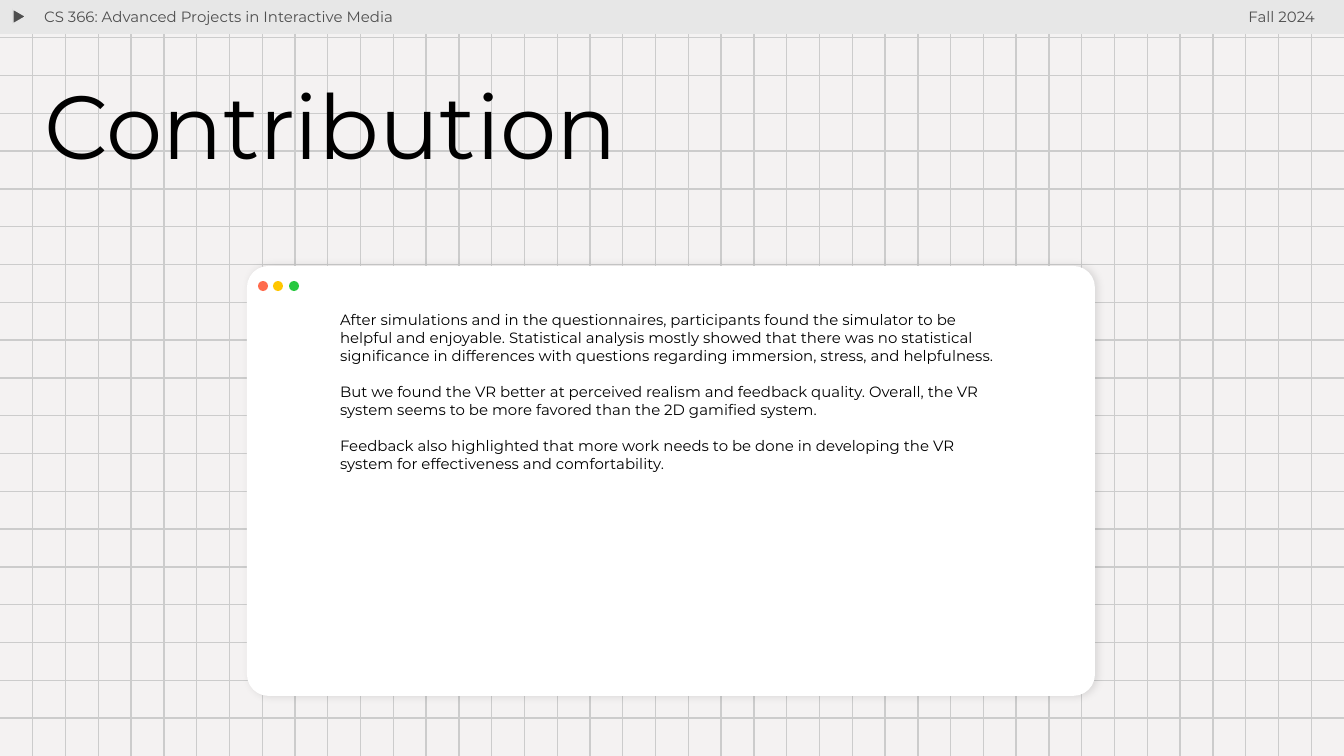
from lxml.etree import SubElement
from pptx import Presentation
from pptx.dml.color import RGBColor
from pptx.enum.shapes import MSO_CONNECTOR as CONN, MSO_SHAPE as SHAPE
from pptx.enum.text import MSO_ANCHOR as ANCHOR, MSO_AUTO_SIZE as AUTO, PP_ALIGN as ALIGN
from pptx.oxml.ns import qn
from pptx.util import Pt

PX = 914400 / 134.4
W, H = 1344, 756
FONT = "Montserrat"
INSET = 13
BLACK = RGBColor(0x00, 0x00, 0x00)
WHITE = RGBColor(0xFF, 0xFF, 0xFF)
PAPER = RGBColor(0xF4, 0xF2, 0xF2)
GRID = RGBColor(0xCC, 0xCC, 0xCC)
BAR = RGBColor(0xE7, 0xE7, 0xE7)
GRAY = RGBColor(0x4F, 0x4F, 0x4F)
RED = RGBColor(0xFF, 0x6B, 0x4D)
YELLOW = RGBColor(0xFF, 0xC6, 0x00)
GREEN = RGBColor(0x28, 0xC8, 0x40)

PARAGRAPHS = [
    "After simulations and in the questionnaires, participants found the simulator to be "
    "helpful and enjoyable. Statistical analysis mostly showed that there was no statistical "
    "significance in differences with questions regarding immersion, stress, and helpfulness.",
    "But we found the VR better at perceived realism and feedback quality. Overall, the VR "
    "system seems to be more favored than the 2D gamified system.",
    "Feedback also highlighted that more work needs to be done in developing the VR "
    "system for effectiveness and comfortability.",
]


def emu(*lengths):
    """Turn px lengths into EMU."""
    return [round(v * PX) for v in lengths]


def add_shape(shapes, kind, box, fill):
    """Add a flat filled shape without outline."""
    sp = shapes.add_shape(kind, *emu(*box))
    sp.shadow.inherit = False
    sp.fill.solid()
    sp.fill.fore_color.rgb = fill
    sp.line.fill.background()
    return sp


def write(sp, texts, size, color, align=ALIGN.LEFT, spacing=1.0, gap=0):
    """Fill a text shape with one run per paragraph."""
    tf = sp.text_frame
    tf.word_wrap = True
    tf.auto_size = AUTO.NONE
    tf.vertical_anchor = ANCHOR.TOP
    tf.margin_left, tf.margin_top, tf.margin_right, tf.margin_bottom = emu(*[INSET] * 4)
    for i, text in enumerate(texts):
        p = tf.add_paragraph() if i else tf.paragraphs[0]
        p.alignment = align
        p.line_spacing = spacing
        p.space_before = Pt(gap if i else 0)
        r = p.add_run()
        r.text = text
        r.font.name = FONT
        r.font.size = Pt(size)
        r.font.color.rgb = color


def place(s, ph, box):
    """Move a placeholder to a box, in front of the shapes so far."""
    ph.left, ph.top, ph.width, ph.height = emu(*box)
    s.shapes.element.append(ph.element)
    return ph


def add_grid(s, x, y, w, h, cols, rows):
    """Rule a box into equal columns and rows."""
    shapes = s.shapes.add_group_shape().shapes
    across = [(x, y + h * i / rows, x + w, y + h * i / rows) for i in range(1, rows)]
    down = [(x + w * i / cols, y, x + w * i / cols, y + h) for i in range(1, cols)]
    for ends in across + down:
        line = shapes.add_connector(CONN.STRAIGHT, *emu(*ends))
        line.line.color.rgb = GRID
        line.line.width = Pt(0.75)
        SubElement(line.element.spPr, qn("a:effectLst"))


def add_header(s, x, y, w, h):
    """Add the top bar with its play mark and two labels."""
    add_shape(s.shapes, SHAPE.RECTANGLE, (x, y, w, h), BAR)
    mark = add_shape(s.shapes, SHAPE.ISOSCELES_TRIANGLE, (x + 12, y + 10, 15, 13), GRAY)
    mark.rotation = 90
    mark.line.color.rgb = BAR
    mark.line.width = Pt(0.75)
    labels = [
        ("CS 366: Advanced Projects in Interactive Media", x + 31, 560, ALIGN.LEFT),
        ("Fall 2024", x + w - 184, 168, ALIGN.RIGHT),
    ]
    for text, left, width, align in labels:
        label = s.shapes.add_textbox(*emu(left, y - 5, width, h + 12))
        write(label, [text], 8, GRAY, align)


def add_window(s, x, y, w, h):
    """Add the rounded window with its buttons and body text."""
    panel = add_shape(s.shapes, SHAPE.ROUNDED_RECTANGLE, (x, y, w, h), WHITE)
    panel.adjustments[0] = 0.05
    effects = panel.element.spPr.find(qn("a:effectLst"))
    shadow = SubElement(effects, qn("a:outerShdw"), blurRad=str(Pt(4.5)), dist=str(Pt(1.5)), dir="0")
    tint = SubElement(shadow, qn("a:srgbClr"), val="000000")
    SubElement(tint, qn("a:alpha"), val="11000")

    buttons = s.shapes.add_group_shape().shapes
    for i, color in enumerate((RED, YELLOW, GREEN)):
        add_shape(buttons, SHAPE.OVAL, (x + 11 + i * 31 // 2, y + 15, 10, 10), color)

    body = place(s, s.placeholders[1], (x + 80, y + 32, 690, 354))
    write(body, PARAGRAPHS, 8, BLACK, gap=9.75)
    for p in body.text_frame.paragraphs:
        pPr = p._p.get_or_add_pPr()
        pPr.set("marL", "0")
        pPr.set("indent", "0")
        SubElement(pPr, qn("a:buNone"))


def add_title(s, x, y, w, h):
    """Set the slide title in its box."""
    write(place(s, s.shapes.title, (x, y, w, h)), ["Contribution"], 48, BLACK, spacing=0.9)


def main():
    """Build and save the slide."""
    prs = Presentation()
    prs.slide_width, prs.slide_height = emu(W, H)
    s = prs.slides.add_slide(prs.slide_layouts[1])
    s.background.fill.solid()
    s.background.fill.fore_color.rgb = PAPER
    add_grid(s, 0, 0, W, H, 41, 20)
    add_header(s, 0, 0, W, 34)
    add_window(s, 247, 266, 848, 430)
    add_title(s, 31, 69, 738, 125)
    prs.save("out.pptx")


if __name__ == "__main__":
    main()
